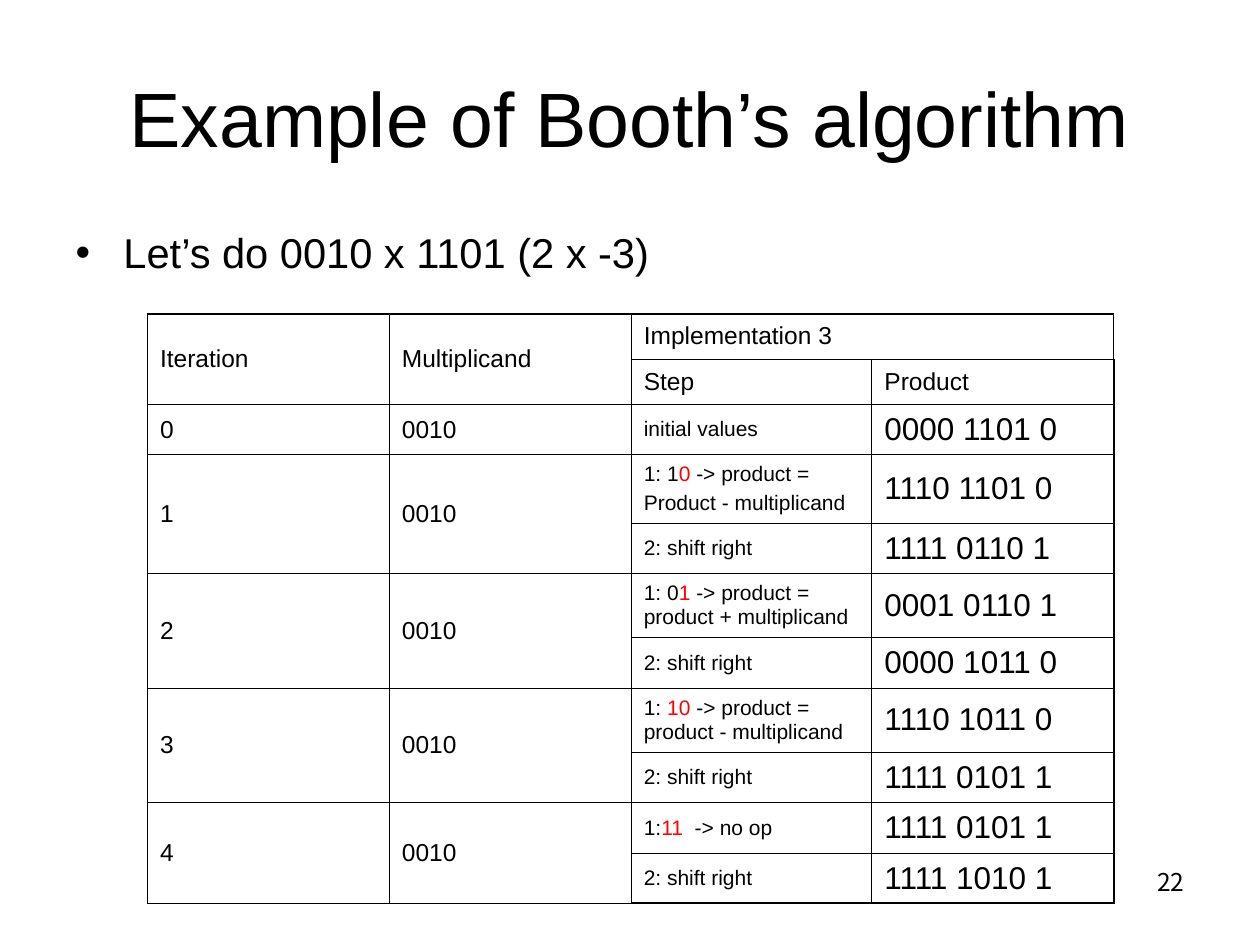
"""Build the slide that works through Booth's algorithm for 2 x -3."""
from dataclasses import dataclass

from lxml.etree import SubElement
from pptx import Presentation
from pptx.dml.color import RGBColor
from pptx.enum.text import MSO_ANCHOR, MSO_AUTO_SIZE, PP_ALIGN
from pptx.oxml.ns import qn
from pptx.util import Inches, Pt

BLACK = "000000"
RED = "FF0000"
COLUMN_WIDTHS = [1.92, 1.92, 1.91, 1.92]
ROW_HEIGHTS = [0.36, 0.36, 0.4, 0.54, 0.4, 0.51, 0.4, 0.51, 0.4, 0.4, 0.4]
THIN, THICK = 0.45, 1.08


@dataclass
class Run:
    text: str
    color: str = BLACK


@dataclass
class Step:
    lines: list[list[Run]]
    product: str


@dataclass
class Iteration:
    number: int
    steps: list[Step]


def shift(product: str) -> Step:
    return Step([[Run("2: shift right")]], product)


def test(prefix: str, bits: str, action: str, product: str, *more_lines: str) -> Step:
    first_line = [Run(prefix), Run(bits, RED), Run(action)]
    return Step([first_line] + [[Run(line)] for line in more_lines], product)


ITERATIONS = [
    Iteration(0, [Step([[Run("initial values")]], "0000 1101 0")]),
    Iteration(1, [
        test("1: 1", "0", " -> product =", "1110 1101 0", "Product - multiplicand"),
        shift("1111 0110 1"),
    ]),
    Iteration(2, [
        test("1: 0", "1", " -> product = product + multiplicand", "0001 0110 1"),
        shift("0000 1011 0"),
    ]),
    Iteration(3, [
        test("1: ", "10", " -> product = product - multiplicand", "1110 1011 0"),
        shift("1111 0101 1"),
    ]),
    Iteration(4, [
        test("1:", "11 ", " -> no op", "1111 0101 1"),
        shift("1111 1010 1"),
    ]),
]


def rgb(color: str) -> RGBColor:
    return RGBColor.from_string(color)


def add_text(paragraph, text: str, *, size: float, color: str = BLACK,
             font: str = "Arial", align=PP_ALIGN.LEFT) -> None:
    paragraph.alignment = align
    run = paragraph.add_run()
    run.text = text
    run.font.size = Pt(size)
    run.font.name = font
    run.font.color.rgb = rgb(color)


def place(shape, left: float, top: float, width: float, height: float) -> None:
    shape.left, shape.top = Inches(left), Inches(top)
    shape.width, shape.height = Inches(width), Inches(height)
    shape.text_frame.word_wrap = True
    shape.text_frame.auto_size = MSO_AUTO_SIZE.NONE


def add_bullet(paragraph, indent: float) -> None:
    properties = paragraph._p.get_or_add_pPr()
    properties.set("marL", str(Inches(indent)))
    properties.set("indent", str(-Inches(indent)))
    bullet_color = SubElement(properties, qn("a:buClr"))
    SubElement(bullet_color, qn("a:srgbClr"), val=BLACK)
    SubElement(properties, qn("a:buFont"), typeface="Arial")
    SubElement(properties, qn("a:buChar"), char="•")


def set_borders(cell, **widths: float) -> None:
    properties = cell._tc.get_or_add_tcPr()
    for side, width in widths.items():
        line = SubElement(properties, qn(f"a:ln{side}"), w=str(Pt(width)))
        fill = SubElement(line, qn("a:solidFill"))
        SubElement(fill, qn("a:srgbClr"), val=BLACK)


def fill_cell(cell, lines: list[list[Run]], size: float) -> None:
    frame = cell.text_frame
    for index, line in enumerate(lines):
        paragraph = frame.add_paragraph() if index else frame.paragraphs[0]
        paragraph.space_before = Pt(3 if index else 0)
        for run in line:
            add_text(paragraph, run.text, size=size, color=run.color)


def add_booth_table(slide) -> None:
    row_count, column_count = len(ROW_HEIGHTS), len(COLUMN_WIDTHS)
    frame = slide.shapes.add_table(
        row_count, column_count, Inches(1.17), Inches(2.49),
        Inches(sum(COLUMN_WIDTHS)), Inches(sum(ROW_HEIGHTS)))
    table = frame.table
    table.first_row = table.horz_banding = False
    for column, width in zip(table.columns, COLUMN_WIDTHS):
        column.width = Inches(width)
    for row, height in zip(table.rows, ROW_HEIGHTS):
        row.height = Inches(height)
    for row in range(row_count):
        for column in range(column_count):
            cell = table.cell(row, column)
            set_borders(
                cell,
                L=THICK if column == 0 else THIN,
                R=THICK if column == column_count - 1 else THIN,
                T=THICK if row == 0 else THIN,
                B=THICK if row == row_count - 1 else THIN)
            cell.fill.background()
            cell.vertical_anchor = MSO_ANCHOR.MIDDLE

    headings = [(0, 0, "Iteration"), (0, 1, "Multiplicand"),
                (0, 2, "Implementation 3"), (1, 2, "Step"), (1, 3, "Product")]
    for row, column, heading in headings:
        fill_cell(table.cell(row, column), [[Run(heading)]], 14)
    table.cell(0, 0).merge(table.cell(1, 0))
    table.cell(0, 1).merge(table.cell(1, 1))
    table.cell(0, 2).merge(table.cell(0, 3))

    row = 2
    for iteration in ITERATIONS:
        last_row = row + len(iteration.steps) - 1
        for column, text in enumerate([str(iteration.number), "0010"]):
            fill_cell(table.cell(row, column), [[Run(text)]], 14)
            if last_row > row:
                table.cell(row, column).merge(table.cell(last_row, column))
        for step_row, step in enumerate(iteration.steps, row):
            fill_cell(table.cell(step_row, 2), step.lines, 12)
            fill_cell(table.cell(step_row, 3), [[Run(step.product)]], 18)
        row = last_row + 1


def main() -> None:
    presentation = Presentation()
    presentation.slide_width, presentation.slide_height = Inches(10), Inches(7.5)
    slide = presentation.slides.add_slide(presentation.slide_layouts[1])

    page_number = slide.shapes.add_textbox(0, 0, 0, 0)
    place(page_number, 7.17, 6.83, 2.33, 0.52)
    add_text(page_number.text_frame.paragraphs[0], "22", size=14,
             font="Noto Sans CJK KR", align=PP_ALIGN.RIGHT)

    title = slide.shapes.title
    place(title, 0.5, 0.3, 9, 1.25)
    title.text_frame.vertical_anchor = MSO_ANCHOR.MIDDLE
    add_text(title.text_frame.paragraphs[0], "Example of Booth’s algorithm",
             size=44, align=PP_ALIGN.CENTER)

    body = slide.placeholders[1]
    place(body, 0.5, 1.75, 9, 0.52)
    problem = body.text_frame.paragraphs[0]
    add_bullet(problem, 0.38)
    problem.space_before = Pt(0)
    add_text(problem, "Let’s do 0010 x 1101 (2 x -3)", size=23.8)

    add_booth_table(slide)
    presentation.save("out.pptx")


if __name__ == "__main__":
    main()
